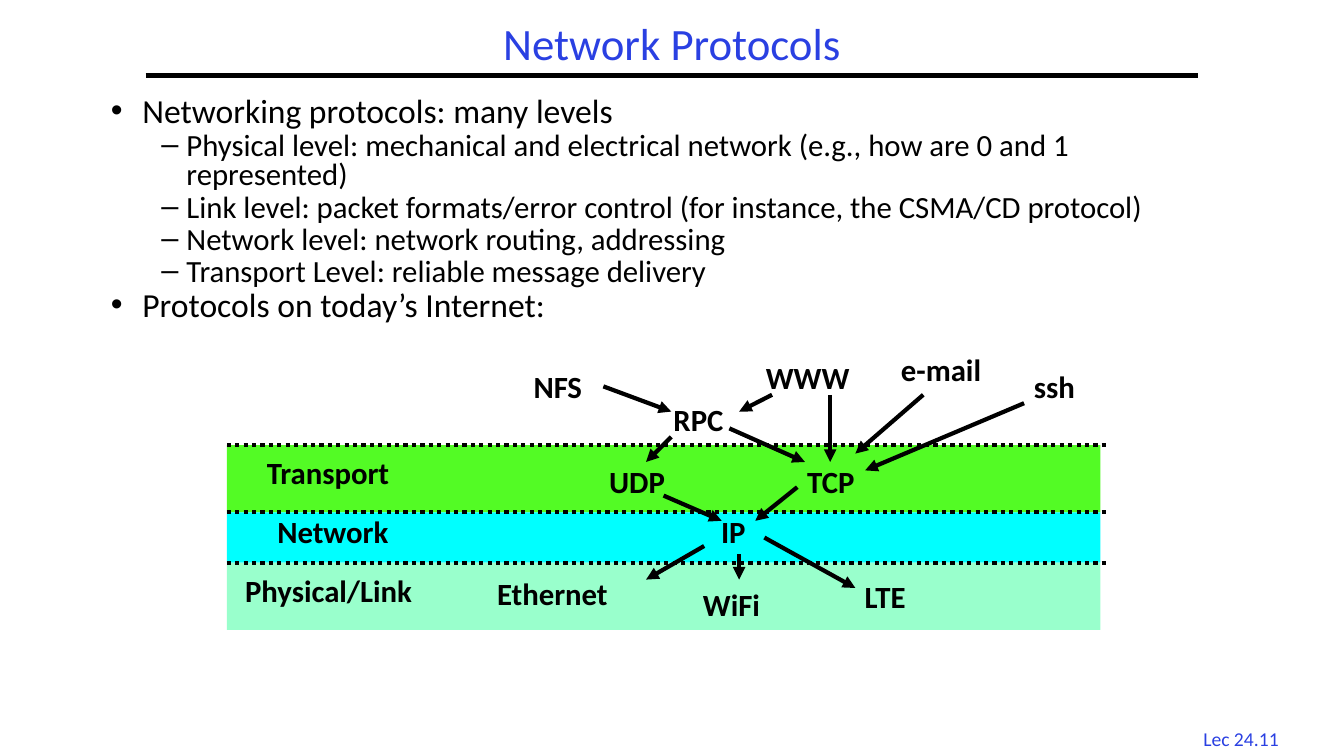
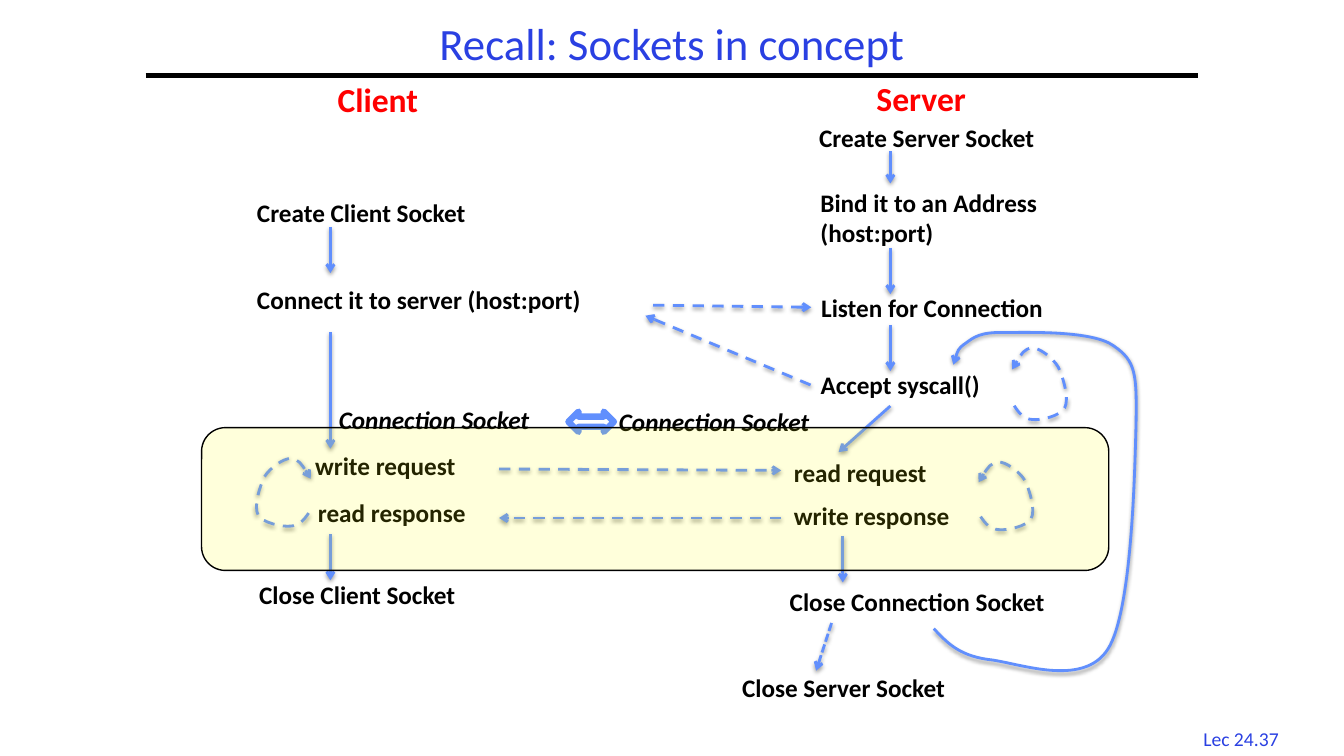
from lxml import etree
from pptx import Presentation
from pptx.dml.color import RGBColor
from pptx.enum.dml import MSO_LINE
from pptx.enum.shapes import MSO_CONNECTOR, MSO_SHAPE
from pptx.enum.text import MSO_ANCHOR, MSO_AUTO_SIZE, PP_ALIGN
from pptx.oxml.ns import qn
from pptx.util import Pt

STRAIGHT = MSO_CONNECTOR.STRAIGHT
DASH, DOTS, SHORT_DASH = MSO_LINE.DASH, MSO_LINE.ROUND_DOT, MSO_LINE.SQUARE_DOT
CENTER, LEFT = PP_ALIGN.CENTER, PP_ALIGN.LEFT
FONT = "Calibri"
COLORS = {
    "title": "2A40E2",
    "text": "000000",
    "heading": "FF0000",
    "flow": "618FFD",
    "transport": "53FB25",
    "network": "00FFFF",
    "link": "99FFCC",
    "session": "FFFF00",
    "white": "FFFFFF",
}
RGB = {name: RGBColor.from_string(value) for name, value in COLORS.items()}


def write(tf, lines, size, color="text", bold=False, italic=False, align=LEFT, spacing=1.0):
    tf.word_wrap = True
    tf.auto_size = MSO_AUTO_SIZE.NONE
    for i, line in enumerate(lines):
        p = tf.paragraphs[0] if i == 0 else tf.add_paragraph()
        p.alignment = align
        p.line_spacing = spacing
        r = p.add_run()
        r.text = line
        r.font.name = FONT
        r.font.size = Pt(size)
        r.font.bold = bold
        r.font.italic = italic
        r.font.color.rgb = RGB[color]


def style_line(shape, color, width, dash=None, head=None, shadow=False):
    shape.line.color.rgb = RGB[color]
    shape.line.width = Pt(width)
    if dash is not None:
        shape.line.dash_style = dash
    spPr = shape._element.spPr
    if head:
        etree.SubElement(spPr.find(qn("a:ln")), qn("a:tailEnd"), type=head)
    effects = etree.SubElement(spPr, qn("a:effectLst"))
    if shadow:
        outer = etree.SubElement(effects, qn("a:outerShdw"), blurRad=str(Pt(3.1)),
                                 dist=str(Pt(1.6)), dir="5400000", rotWithShape="0")
        black = etree.SubElement(outer, qn("a:srgbClr"), val=COLORS["text"])
        etree.SubElement(black, qn("a:alpha"), val="38000")


prs = Presentation()
prs.slide_width, prs.slide_height = Pt(960), Pt(540)

for title, number, layout in (("Network Protocols", "Lec 24.11", 1),
                              ("Recall: Sockets in concept", "Lec 24.37", 5)):
    s = prs.slides.add_slide(prs.slide_layouts[layout])
    sp = s.shapes.title
    sp.left, sp.top, sp.width, sp.height = Pt(104), Pt(12), Pt(752), Pt(42)
    sp.text_frame.vertical_anchor = MSO_ANCHOR.MIDDLE
    write(sp.text_frame, [title], 32, "title", align=CENTER, spacing=0.9)
    rule = s.shapes.add_connector(STRAIGHT, Pt(104), Pt(54), Pt(856), Pt(54))
    style_line(rule, "text", 3)
    sp = s.shapes.add_textbox(Pt(847.5), Pt(515.5), Pt(78), Pt(24))
    write(sp.text_frame, [number], 14, "title", align=CENTER)

protocols, sockets = prs.slides

body = protocols.placeholders[1]
body.left, body.top, body.width, body.height = Pt(72), Pt(66), Pt(816), Pt(420)
bullets = (
    (0, "Networking protocols: many levels"),
    (1, "Physical level: mechanical and electrical network (e.g., how are 0 and 1 represented)"),
    (1, "Link level: packet formats/error control (for instance, the CSMA/CD protocol)"),
    (1, "Network level: network routing, addressing"),
    (1, "Transport Level: reliable message delivery"),
    (0, "Protocols on today’s Internet:"),
)
write(body.text_frame, [text for level, text in bullets], 24, spacing=0.8)
for i, (level, text) in enumerate(bullets):
    p = body.text_frame.paragraphs[i]
    p.level = level
    p.space_before = Pt(2 if i else 0)
    p.runs[0].font.size = Pt((24, 22)[level])
    margin, indent = ((22.5, -22.5), (54, -18))[level]
    pPr = p._p.get_or_add_pPr()
    pPr.set("marL", str(Pt(margin)))
    pPr.set("indent", str(Pt(indent)))

bands = (("transport", 318, 48), ("network", 366, 36), ("link", 402, 48))
for color, top, height in bands:
    sp = protocols.shapes.add_shape(MSO_SHAPE.RECTANGLE, Pt(162), Pt(top), Pt(624), Pt(height))
    sp.shadow.inherit = False
    sp.fill.solid()
    sp.fill.fore_color.rgb = RGB[color]
    sp.line.fill.background()
for color, top, height in bands:
    border = protocols.shapes.add_connector(STRAIGHT, Pt(162), Pt(top), Pt(792), Pt(top))
    style_line(border, "text", 3, DOTS)

for text, x, y, width in (
    ("Ethernet", 348, 412, 104), ("WiFi", 495, 420, 61), ("LTE", 610.5, 414, 55),
    ("IP", 508, 368, 36), ("UDP", 428, 332, 61), ("TCP", 569.5, 332, 59),
    ("RPC", 474, 288, 61), ("NFS", 374, 264, 59), ("WWW", 540, 258, 77),
    ("e-mail", 636.5, 252, 78), ("ssh", 731.5, 264, 53),
    ("Physical/Link", 168, 410, 157), ("Network", 191, 368, 102), ("Transport", 183.5, 326, 117),
):
    sp = protocols.shapes.add_textbox(Pt(x), Pt(y), Pt(width), Pt(28))
    write(sp.text_frame, [text], 22, bold=True, spacing=0.8)

for ends in (
    (503, 390, 461.5, 414), (546, 384, 611, 420), (528, 396, 528, 414),
    (474, 354, 515.5, 372), (569.5, 348, 539.5, 372), (479.5, 312, 461.5, 330),
    (521, 306, 575, 330), (431, 276, 479.5, 294), (551.5, 282, 528, 294),
    (593, 282, 593, 330), (659.5, 282, 611, 324), (731.5, 288, 618, 336),
):
    arrow = protocols.shapes.add_connector(STRAIGHT, *map(Pt, ends))
    style_line(arrow, "text", 3, head="triangle")

for text, x, y, width in (("Client", 234, 53, 82), ("Server", 619, 52, 94)):
    sp = sockets.shapes.add_textbox(Pt(x), Pt(y), Pt(width), Pt(36))
    write(sp.text_frame, [text], 24, "heading", bold=True)

for lines, x, y, width in (
    (["Create Client Socket"], 176.5, 137.5, 191.5),
    (["Connect it to server (host:port)"], 176.5, 199.5, 282),
    (["write request"], 218, 318, 127.5),
    (["read response"], 220, 352, 137.5),
    (["Close Client Socket"], 178, 410, 185),
    (["Create Server Socket"], 578, 84, 197),
    (["Bind it to an Address", "(host:port)"], 579, 130, 201.5),
    (["Listen for Connection"], 579.5, 205, 201.5),
    (["Accept syscall()"], 579, 260, 153.5),
    (["read request"], 560, 323, 127.5),
    (["write response"], 560, 354, 143),
    (["Close Connection Socket"], 557, 415, 234),
    (["Close Server Socket"], 523, 477, 194.5),
):
    sp = sockets.shapes.add_textbox(Pt(x), Pt(y), Pt(width), Pt(7 + 22 * len(lines)))
    write(sp.text_frame, lines, 18, bold=True)

for x, y in ((235, 285), (435, 286.5)):
    sp = sockets.shapes.add_textbox(Pt(x), Pt(y), Pt(179), Pt(29))
    write(sp.text_frame, ["Connection Socket"], 18, bold=True, italic=True)

for dash, ends in (
    (None, (236, 162, 236, 195)), (None, (236, 237.5, 236, 320.5)),
    (None, (236, 381.5, 236, 414.5)), (None, (636, 108, 636, 131)),
    (None, (636, 177, 636, 210)), (None, (636, 232, 636, 265)),
    (None, (636, 290, 599, 323)), (None, (602, 383, 602, 416)),
    (SHORT_DASH, (594, 445, 583, 479)),
    (DASH, (356.5, 335, 558, 336)), (DASH, (558, 370, 356.5, 370)),
    (DASH, (466.5, 218, 579.5, 219.5)), (DASH, (579, 275, 461, 225.5)),
):
    arrow = sockets.shapes.add_connector(STRAIGHT, *map(Pt, ends))
    style_line(arrow, "flow", 2, dash, "arrow", True)

loop = (
    (1.5, 39), (5, 44), (8, 48), (14.5, 48.3), (20, 49), (34.5, 46), (37.5, 40.5),
    (41, 34.5), (36.5, 20), (33, 13), (29, 6.5), (19.5, 0), (14.5, 0),
    (8.5, 0.5), (4.5, 7), (0, 14.5),
)
next_client = (
    (667, 449), (676, 458.5), (684.5, 468), (705.5, 471), (726.5, 473), (773.5, 492),
    (791.5, 463.5), (808.5, 436.5), (810.5, 339), (811.5, 303), (812, 267), (811.5, 258),
    (795.5, 247), (780.5, 236), (735, 237.5), (718, 237.5), (700, 237), (695.5, 241),
    (690, 245), (684, 249), (682.5, 255), (681, 260.5),
)
for points, x, y, scale_x, scale_y, dash in (
    (loop, 699, 330, 1, 1, DASH),
    (loop, 222, 327.5, -1, 1, DASH),
    (loop, 723, 248.5, 1, 1.06, DASH),
    (next_client, 0, 0, 1, 1, None),
):
    start, *rest = [(Pt(x + scale_x * dx), Pt(y + scale_y * dy)) for dx, dy in points]
    builder = sockets.shapes.build_freeform(*start)
    builder.add_line_segments(rest, close=False)
    sp = builder.convert_to_shape()
    outline = next(sp._element.spPr.iter(qn("a:path")))
    segments = outline.findall(qn("a:lnTo"))
    for i in range(0, len(segments), 3):
        curve = etree.SubElement(outline, qn("a:cubicBezTo"))
        for segment in segments[i:i + 3]:
            curve.append(segment[0])
            outline.remove(segment)
    sp.fill.background()
    style_line(sp, "flow", 2, dash, "arrow", True)

link = sockets.shapes.add_shape(MSO_SHAPE.LEFT_RIGHT_ARROW, Pt(406), Pt(294), Pt(32.5), Pt(14.5))
link.fill.solid()
link.fill.fore_color.rgb = RGB["white"]
style_line(link, "flow", 4.5)

session = sockets.shapes.add_shape(MSO_SHAPE.ROUNDED_RECTANGLE, Pt(144), Pt(305.5), Pt(648), Pt(102))
session.fill.solid()
session.fill.fore_color.rgb = RGB["session"]
fill_color = session._element.spPr.find(qn("a:solidFill"))[0]
etree.SubElement(fill_color, qn("a:alpha"), val="14000")
style_line(session, "text", 1)

prs.save("out.pptx")
